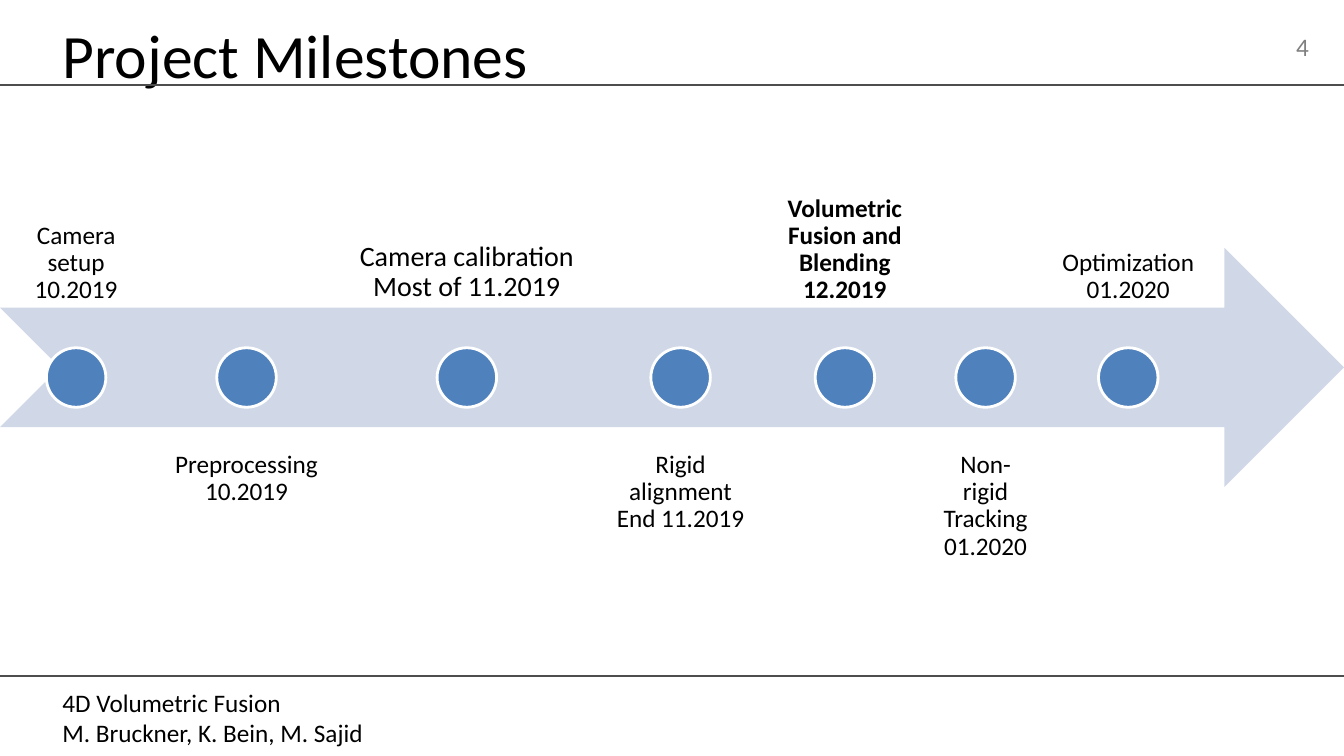
from lxml import etree
from pptx import Presentation
from pptx.dml.color import RGBColor
from pptx.enum import shapes, text
from pptx.oxml.ns import qn
from pptx.util import Inches, Pt

COLORS = {"ink": "000000", "rule": "4D4D4D", "number": "808080",
          "arrow": "D0D8E8", "dot": "4F81BD", "outline": "FFFFFF"}
FONT = "Calibri"
WIDTH, HEIGHT = 13.33, 7.5
LEFT, CENTER, RIGHT = text.PP_ALIGN.LEFT, text.PP_ALIGN.CENTER, text.PP_ALIGN.RIGHT
TOP, BOTTOM = text.MSO_ANCHOR.TOP, text.MSO_ANCHOR.BOTTOM

# Label left, label width, lines, size, bold; labels alternate above and below
MILESTONES = [
    (0, 1.51, ["Camera setup", "10.2019"], 18, False),
    (1.54, 1.81, ["Preprocessing", "10.2019"], 18, False),
    (3.38, 2.5, ["Camera calibration", "Most of 11.2019"], 20, False),
    (5.92, 1.66, ["Rigid alignment", "End 11.2019"], 18, False),
    (7.6, 1.56, ["Volumetric Fusion and Blending", "12.2019"], 18, True),
    (9.2, 1.15, ["Non-rigid Tracking", "01.2020"], 18, False),
    (10.38, 1.62, ["Optimization", "01.2020"], 18, False),
]


def rgb(name):
    return RGBColor.from_string(COLORS[name])


def write(tf, lines, size, color="ink", align=LEFT, bold=False, spacing=None):
    tf.word_wrap = True
    for i, line in enumerate(lines):
        p = tf.paragraphs[0] if i == 0 else tf.add_paragraph()
        p.text = line
        p.alignment = align
        p.line_spacing = spacing
        p.font.name = FONT
        p.font.size = Pt(size)
        p.font.bold = bold
        p.font.color.rgb = rgb(color)


def add_text(s, box, lines, size, anchor=TOP, inset=None, **style):
    tf = s.shapes.add_textbox(*map(Inches, box)).text_frame
    tf.vertical_anchor = anchor
    if inset is not None:
        tf.margin_left = tf.margin_right = Inches(inset)
        tf.margin_top = tf.margin_bottom = Inches(inset)
    write(tf, lines, size, **style)


def add_rule(s, y):
    line = s.shapes.add_connector(shapes.MSO_CONNECTOR.STRAIGHT,
                                  0, Inches(y), Inches(WIDTH), Inches(y))
    line.line.color.rgb = rgb("rule")
    line.line.width = Pt(1.5)
    etree.SubElement(line._element.spPr, qn("a:effectLst"))


def add_filled(s, kind, box, color):
    sp = s.shapes.add_shape(kind, *map(Inches, box))
    sp.shadow.inherit = False
    sp.fill.solid()
    sp.fill.fore_color.rgb = rgb(color)
    sp.line.fill.background()
    return sp


def add_header(s, x, y, w, h):
    add_rule(s, y + 0.84)
    title = s.shapes.title
    title.left, title.top = Inches(x + 0.52), Inches(y)
    title.width, title.height = Inches(9.54), Inches(h)
    tf = title.text_frame
    tf.auto_size = text.MSO_AUTO_SIZE.NONE
    tf.vertical_anchor = BOTTOM
    write(tf, ["Project Milestones"], 44)
    add_text(s, (x + w - 0.93, y + 0.26, 0.68, 0.4), ["4"], 18,
             color="number", align=RIGHT)


def add_footer(s, x, y, w, h):
    add_rule(s, y)
    add_text(s, (x + 0.52, y + 0.06, 9.42, h - 0.08),
             ["4D Volumetric Fusion", "M. Bruckner, K. Bein, M. Sajid"], 18)


def add_timeline(s, x, y, w, h):
    # The box holds two label bands with the arrow across the middle
    band, dot = 2.37, 0.59
    add_filled(s, shapes.MSO_SHAPE.NOTCHED_RIGHT_ARROW,
               (x, y + 1.67, w, band), "arrow")
    for i, (left, width, lines, size, bold) in enumerate(MILESTONES):
        above = i % 2 == 0
        label_y = y if above else y + h - band
        add_text(s, (x + left, label_y, width, band), lines, size,
                 anchor=BOTTOM if above else TOP,
                 inset=0.16 if size == 20 else 0.14,
                 align=CENTER, bold=bold, spacing=0.9)
        sp = add_filled(s, shapes.MSO_SHAPE.OVAL,
                        (x + left + (width - dot) / 2, y + 2.66, dot, dot), "dot")
        sp.line.color.rgb = rgb("outline")
        sp.line.width = Pt(2)


def main():
    prs = Presentation()
    prs.slide_width, prs.slide_height = Inches(WIDTH), Inches(HEIGHT)
    s = prs.slides.add_slide(prs.slide_layouts[5])
    add_footer(s, 0, 6.71, WIDTH, 0.79)
    add_header(s, 0, 0, WIDTH, 0.95)
    add_timeline(s, 0, 0.79, WIDTH, 5.92)
    prs.save("out.pptx")


if __name__ == "__main__":
    main()
